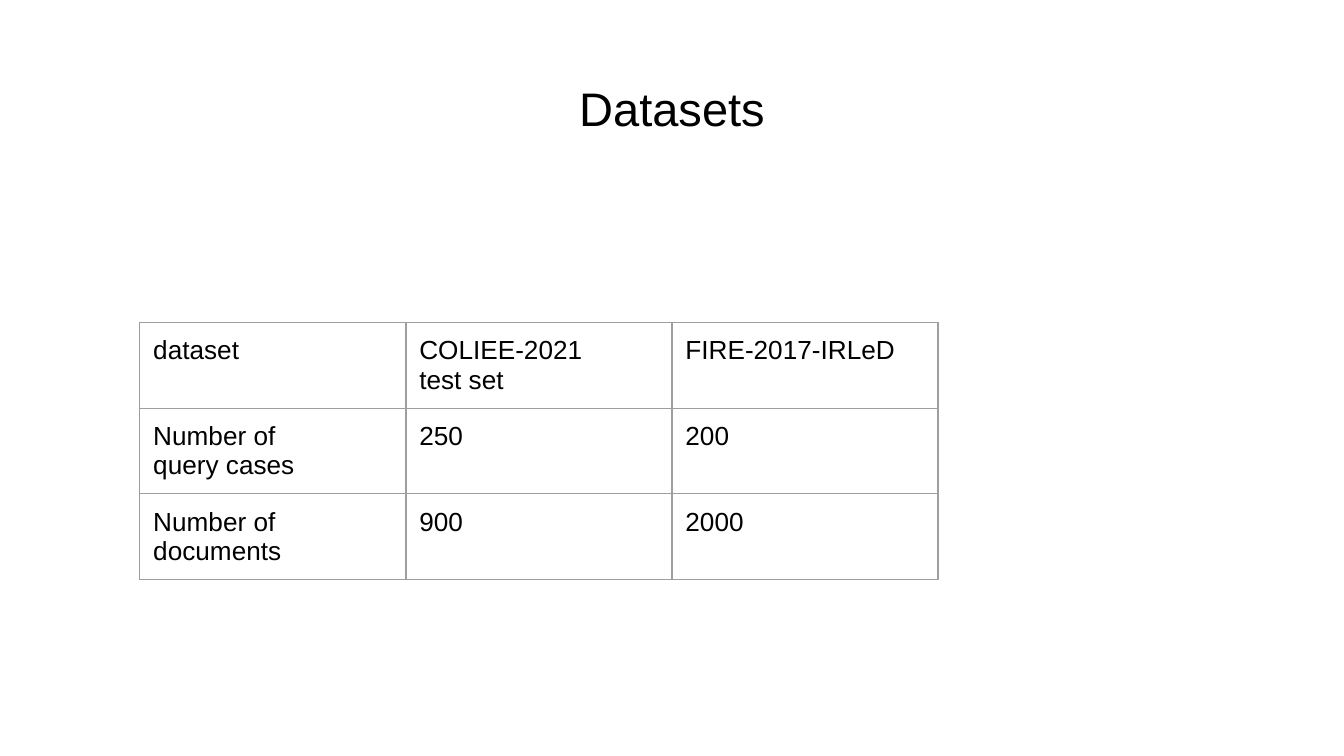
"""Build the Datasets slide."""
from dataclasses import dataclass

from lxml import etree
from pptx import Presentation
from pptx.dml.color import RGBColor
from pptx.enum.text import MSO_ANCHOR, PP_ALIGN
from pptx.oxml.ns import qn
from pptx.util import Inches, Pt

MIDDLE = MSO_ANCHOR.MIDDLE
TOP = MSO_ANCHOR.TOP
CENTER = PP_ALIGN.CENTER
LEFT = PP_ALIGN.LEFT
TITLE_ONLY = 5


@dataclass(frozen=True)
class Theme:
    """Colours, type sizes and spacing of the slide."""
    font: str = "Arial"
    ink: str = "000000"
    paper: str = "FFFFFF"
    rule: str = "9E9E9E"
    title_size: float = 25.2
    cell_size: float = 14
    rule_width: float = 0.75
    inset: float = 0.1


THEME = Theme()
DATASETS = [
    ["dataset", "COLIEE-2021\ntest set", "FIRE-2017-IRLeD"],
    ["Number of\nquery cases", "250", "200"],
    ["Number of\ndocuments", "900", "2000"],
]


def format_text(frame, size, alignment):
    """Apply the theme font and an alignment to all paragraphs."""
    for paragraph in frame.paragraphs:
        paragraph.alignment = alignment
        for run in paragraph.runs:
            run.font.name = THEME.font
            run.font.size = Pt(size)
            run.font.color.rgb = RGBColor.from_string(THEME.ink)


def set_insets(area):
    """Give a cell or text frame equal margins."""
    area.margin_left = area.margin_right = Inches(THEME.inset)
    area.margin_top = area.margin_bottom = Inches(THEME.inset)


def set_borders(cell):
    """Draw the theme rule on all four sides of a cell."""
    properties = cell._tc.get_or_add_tcPr()
    for position, side in enumerate(("a:lnL", "a:lnR", "a:lnT", "a:lnB")):
        line = etree.Element(qn(side), w=str(Pt(THEME.rule_width)))
        fill = etree.SubElement(line, qn("a:solidFill"))
        etree.SubElement(fill, qn("a:srgbClr"), val=THEME.rule)
        properties.insert(position, line)


def add_title(slide, text):
    """Place and format the slide title."""
    title = slide.shapes.title
    title.left, title.top = Inches(0.34), Inches(0.49)
    title.width, title.height = Inches(9.32), Inches(0.63)
    frame = title.text_frame
    frame.text = text
    frame.word_wrap = True
    frame.vertical_anchor = MIDDLE
    set_insets(frame)
    format_text(frame, THEME.title_size, CENTER)


def add_ruled_table(slide, rows, left, top, column_width, row_height):
    """Add a plain table with a grid of thin rules."""
    column_count = len(rows[0])
    table = slide.shapes.add_table(
        len(rows), column_count, Inches(left), Inches(top),
        Inches(column_width * column_count), Inches(row_height * len(rows)),
    ).table
    table.first_row = table.horz_banding = False
    for column in table.columns:
        column.width = Inches(column_width)
    for row, values in zip(table.rows, rows):
        row.height = Inches(row_height)
        for cell, value in zip(row.cells, values):
            cell.text_frame.text = value
            cell.vertical_anchor = TOP
            cell.fill.background()
            set_insets(cell)
            set_borders(cell)
            format_text(cell.text_frame, THEME.cell_size, LEFT)


def main():
    """Build and save the presentation in 16:9 format."""
    presentation = Presentation()
    presentation.slide_width = Inches(10)
    presentation.slide_height = Inches(10 * 9 / 16)
    slide = presentation.slides.add_slide(presentation.slide_layouts[TITLE_ONLY])
    background = slide.background.fill
    background.solid()
    background.fore_color.rgb = RGBColor.from_string(THEME.paper)
    add_title(slide, "Datasets")
    add_ruled_table(slide, DATASETS, left=1.04, top=2.4, column_width=1.98, row_height=0.42)
    presentation.save("out.pptx")


if __name__ == "__main__":
    main()
